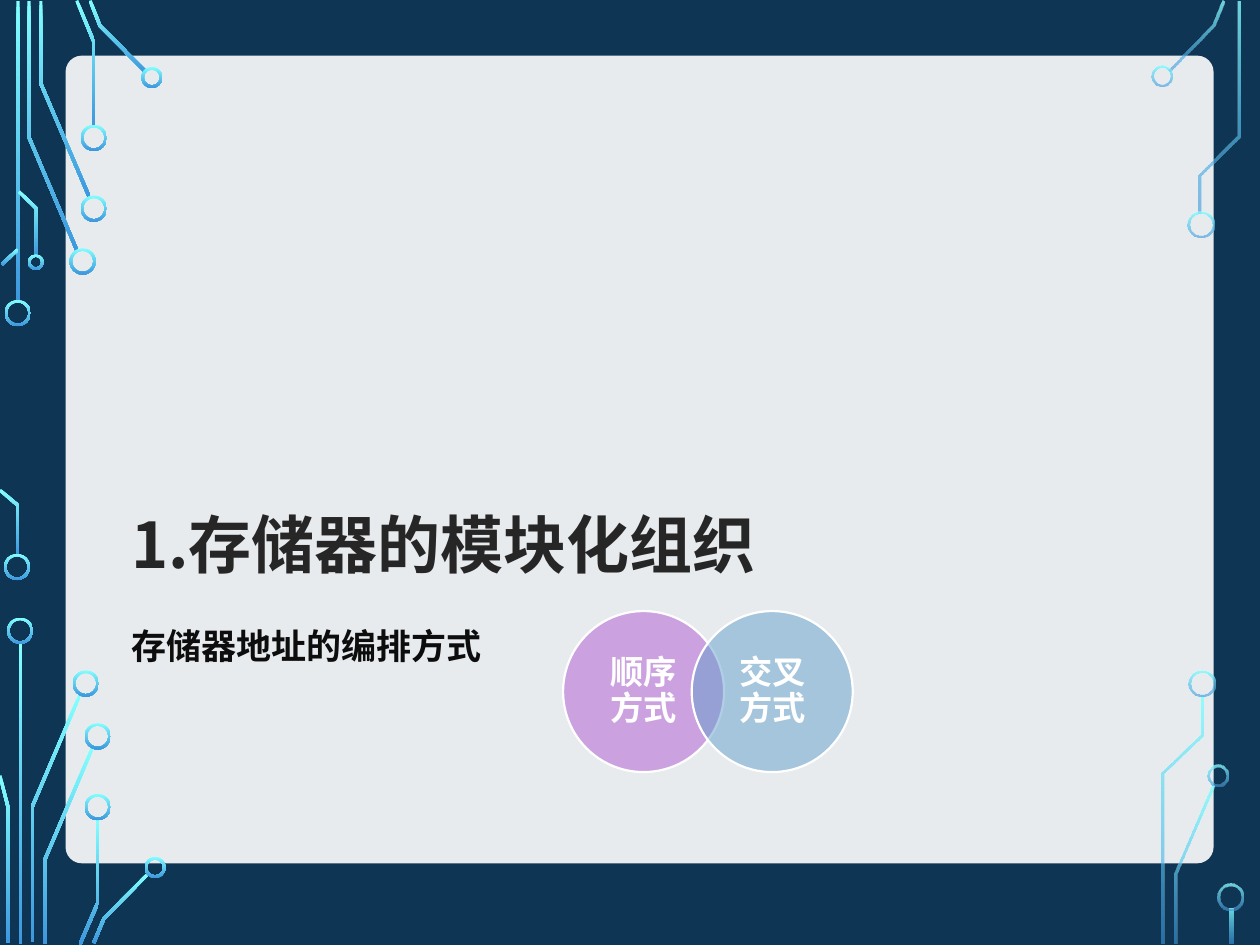
from dataclasses import dataclass
from math import hypot
from typing import NamedTuple

from lxml.etree import SubElement
from pptx import Presentation
from pptx.dml.color import RGBColor
from pptx.enum.shapes import MSO_SHAPE
from pptx.enum.text import MSO_ANCHOR, PP_ALIGN
from pptx.oxml.ns import qn
from pptx.util import Pt


@dataclass(frozen=True)
class Theme:
    back: str = "0E3554"
    panel: str = "FFFFFF"
    glow: tuple = ("82FFFF", "3D97DE")
    title: str = "262626"
    body: str = "0D0D0D"
    label: str = "FFFFFF"
    edge: str = "FFFFFF"
    violet: str = "B258D3"
    blue: str = "63A0CC"
    sans: str = "Noto Sans CJK SC"
    serif: str = "Times New Roman"
    big: float = 36
    mid: float = 20
    small: float = 19
    wire: float = 1.8
    wall: float = 1.45


class Box(NamedTuple):
    left: float
    top: float
    width: float
    height: float


class Ring(NamedTuple):
    x: float
    y: float
    size: float = 15


class Side(NamedTuple):
    alphas: tuple
    rails: list
    wires: list
    rings: list


class Disc(NamedTuple):
    text: str
    left: float
    color: str


class Style(NamedTuple):
    size: float
    color: str
    face: str
    space: float
    anchor: MSO_ANCHOR


LOOK = Theme()
LEFT = Side(
    (100, 100),
    [Box(9.4, 0.7, 1.9, 172), Box(10.6, 367.2, 1.9, 172)],
    [
        [(43.9, 142.9), (16.6, 78.5), (16.6, 0.7)],
        [(51.1, 112.7), (23.4, 47.9), (23.4, 0.7)],
        [(53.6, 72), (53.6, 23.8), (43.9, 0.4)],
        [(83.2, 41), (57.2, 14.8), (51.5, 0.4)],
        [(1.1, 151.2), (10.1, 142.6)],
        [(10.1, 317.5), (10.1, 288.7), (0, 280.1)],
        [(20.9, 146.2), (20.9, 119.2), (10.8, 109.4)],
        [(18.4, 538.6), (18.4, 461.2), (45.7, 397.1)],
        [(4.7, 538.6), (4.7, 461.5), (0, 443.2)],
        [(25.6, 539.3), (25.6, 491.4), (52.9, 427.3)],
        [(45.7, 539.6), (55.8, 516.2), (55.8, 468)],
        [(53.6, 538.9), (59.4, 524.9), (85, 499)],
    ],
    [
        Ring(10.1, 178.9), Ring(9.7, 324), Ring(47.2, 149.4),
        Ring(53.6, 119.2), Ring(53.6, 78.8), Ring(86.8, 44.3, 12),
        Ring(20.5, 149.8, 9), Ring(11.5, 360.4), Ring(49, 390.6),
        Ring(55.8, 420.8), Ring(55.8, 461.2), Ring(88.6, 495.7, 12),
    ],
)
RIGHT = Side(
    (80, 60),
    [Box(702.7, 519.1, 1.9, 20.2)],
    [
        [(668.2, 40), (693.4, 14.4), (699.1, 0.4)],
        [(671.8, 539.3), (671.8, 499.3), (693.4, 448.9)],
        [(685.8, 121.7), (685.8, 99.7), (708.1, 77.4), (708.1, 0.7)],
        [(664.9, 539.3), (664.9, 441.7), (686.9, 420.1), (686.9, 397.4)],
    ],
    [
        Ring(664.2, 43.6, 12), Ring(686.2, 128.5), Ring(695.9, 443.2, 12),
        Ring(686.9, 390.6), Ring(703.1, 512.6),
    ],
)
DISCS = [Disc("顺序方式", 321.8, LOOK.violet), Disc("交叉方式", 395.3, LOOK.blue)]


def assign(item, values: dict) -> None:
    for key, value in values.items():
        setattr(item, key, value)


def frame(box: Box) -> dict:
    return {key: Pt(value) for key, value in box._asdict().items()}


def fade(shape, alphas: tuple) -> None:
    for node, alpha in zip(shape.element.spPr.iter(qn("a:srgbClr")), alphas):
        if alpha < 100:
            SubElement(node, qn("a:alpha")).set("val", str(alpha * 1000))


def paint(shape, color: str, alpha: int) -> None:
    shape.shadow.inherit = False
    shape.fill.solid()
    shape.fill.fore_color.rgb = RGBColor.from_string(color)
    fade(shape, (alpha,))
    shape.line.fill.background()


def glow(shape, alphas: tuple) -> None:
    shape.shadow.inherit = False
    shape.fill.gradient()
    shape.fill.gradient_angle = 270
    for stop, color in zip(shape.fill.gradient_stops, LOOK.glow):
        stop.color.rgb = RGBColor.from_string(color)
    fade(shape, alphas)
    shape.line.fill.background()


def add(slide, kind: MSO_SHAPE, box: Box):
    return slide.shapes.add_shape(kind, *frame(box).values())


def outline(line: list) -> list:
    norms = []
    for (x, y), (u, v) in zip(line, line[1:]):
        span = hypot(u - x, v - y)
        norms.append(((y - v) / span, (u - x) / span))
    half = LOOK.wire / 2
    near, far = [], []
    for (x, y), (a, b), (c, d) in zip(line, norms[:1] + norms, norms + norms[-1:]):
        scale = half / (1 + a * c + b * d)
        dx, dy = (a + c) * scale, (b + d) * scale
        near.append((Pt(x + dx), Pt(y + dy)))
        far.append((Pt(x - dx), Pt(y - dy)))
    return near + far[::-1]


def draw_side(slide, side: Side) -> None:
    parts = [add(slide, MSO_SHAPE.RECTANGLE, rail) for rail in side.rails]
    for wire in side.wires:
        start, *rest = outline(wire)
        maker = slide.shapes.build_freeform(*start)
        maker.add_line_segments(rest, close=True)
        parts.append(maker.convert_to_shape())
    for x, y, size in side.rings:
        ring = add(slide, MSO_SHAPE.DONUT, Box(x - size / 2, y - size / 2, size, size))
        ring.adjustments[0] = LOOK.wall / size
        parts.append(ring)
    for part in parts:
        glow(part, side.alphas)


def write(shape, text: str, style: Style):
    area = shape.text_frame
    assign(area, {"word_wrap": True, "vertical_anchor": style.anchor})
    para = area.paragraphs[0]
    assign(para, {"line_spacing": style.space, "space_before": Pt(0)})
    run = para.add_run()
    run.text = text
    assign(run.font, {"size": Pt(style.size), "bold": True, "name": style.face})
    run.font.color.rgb = RGBColor.from_string(style.color)
    latin = run.font._element.find(qn("a:latin"))
    asian = latin.makeelement(qn("a:ea"), {"typeface": LOOK.sans})
    latin.addnext(asian)
    return para


def draw_disc(slide, disc: Disc) -> None:
    oval = add(slide, MSO_SHAPE.OVAL, Box(disc.left, 349.2, 92, 92))
    paint(oval, disc.color, 50)
    oval.line.color.rgb = RGBColor.from_string(LOOK.edge)
    oval.line.width = Pt(1.25)
    note = slide.shapes.add_textbox(*frame(Box(disc.left + 13.5, 362.7, 65, 65)).values())
    sides = {"margin_left": 5, "margin_right": 5, "margin_top": 2.2, "margin_bottom": 2.2}
    assign(note.text_frame, {key: Pt(value) for key, value in sides.items()})
    style = Style(LOOK.small, LOOK.label, LOOK.sans, 0.9, MSO_ANCHOR.MIDDLE)
    assign(write(note, disc.text, style), {"alignment": PP_ALIGN.CENTER})


def main() -> None:
    deck = Presentation()
    assign(deck, {"slide_width": Pt(720), "slide_height": Pt(540)})
    slide = deck.slides.add_slide(deck.slide_layouts[2])
    slide.background.fill.solid()
    slide.background.fill.fore_color.rgb = RGBColor.from_string(LOOK.back)
    panel = add(slide, MSO_SHAPE.ROUNDED_RECTANGLE, Box(37.5, 31.8, 656, 461.5))
    panel.adjustments[0] = 0.02
    paint(panel, LOOK.panel, 90)
    for side in (LEFT, RIGHT):
        draw_side(slide, side)
    title, body = slide.placeholders
    heads = [
        (title, "1.存储器的模块化组织", Box(67.7, 111.6, 584.6, 224.6),
         Style(LOOK.big, LOOK.title, LOOK.sans, 0.9, MSO_ANCHOR.BOTTOM)),
        (body, "存储器地址的编排方式", Box(67.7, 348.5, 584.6, 108),
         Style(LOOK.mid, LOOK.body, LOOK.serif, 1.2, MSO_ANCHOR.TOP)),
    ]
    for holder, text, box, style in heads:
        assign(holder, frame(box))
        write(holder, text, style)
        slide.shapes.element.append(holder.element)
    for disc in DISCS:
        draw_disc(slide, disc)
    deck.save("out.pptx")


if __name__ == "__main__":
    main()
